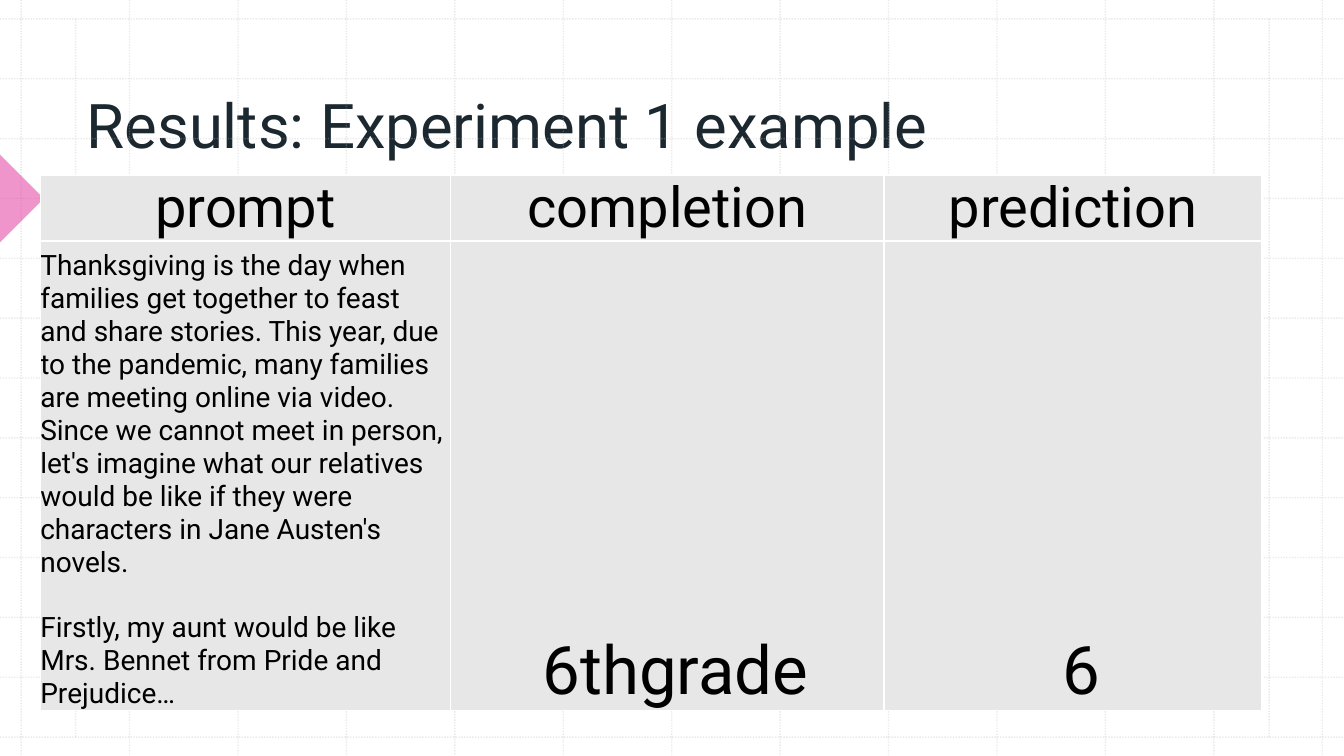
from lxml import etree
from pptx import Presentation
from pptx.dml.color import RGBColor
from pptx.enum.dml import MSO_LINE
from pptx.enum.shapes import MSO_CONNECTOR, MSO_SHAPE
from pptx.enum.text import MSO_ANCHOR, MSO_AUTO_SIZE, PP_ALIGN
from pptx.oxml import parse_xml
from pptx.oxml.ns import nsdecls, qn
from pptx.util import Pt

WIDTH, HEIGHT = 960, 540
FONT = "Roboto"
GRID_TOP, GRID_BOTTOM, ROW_STEP = 13.5, 526.5, 42.75
GRID_LEFT, COLUMN_STEP = 15.1, 77.45
MARGIN_LINES = (54, 906.5)
COLUMN_WIDTHS = (293, 309.6, 270)
ROW_HEIGHTS = (45.4, 335.5)
HEADINGS = ("prompt", "completion", "prediction")
PROMPT = (
    "Thanksgiving is the day when families get together to feast and share "
    "stories. This year, due to the pandemic, many families are meeting online "
    "via video. Since we cannot meet in person, let's imagine what our relatives "
    "would be like if they were characters in Jane Austen's novels.",
    "Firstly, my aunt would be like Mrs. Bennet from Pride and Prejudice…",
)


def paint(color_format, color, alpha=None):
    """Set a hex colour, with an optional opacity in percent."""
    color_format.rgb = RGBColor.from_string(color)
    if alpha is not None:
        for srgb in color_format._xFill.iter(qn("a:srgbClr")):
            etree.SubElement(srgb, qn("a:alpha")).set("val", str(alpha * 1000))


def add_grid_line(slide, x1, y1, x2, y2):
    grid_line = slide.shapes.add_connector(
        MSO_CONNECTOR.STRAIGHT, Pt(x1), Pt(y1), Pt(x2), Pt(y2))
    grid_line.line.width = Pt(1)
    grid_line.line.fill.solid()
    paint(grid_line.line.fill.fore_color, "BCBCBC", 30)
    grid_line.line.dash_style = MSO_LINE.ROUND_DOT
    etree.SubElement(grid_line._element.spPr, qn("a:effectLst"))


def add_grid(slide):
    for i in range(13):
        y = GRID_TOP + i * ROW_STEP
        add_grid_line(slide, 0, y, WIDTH, y)
        x = GRID_LEFT + i * COLUMN_STEP
        add_grid_line(slide, x, 0, x, HEIGHT)
    for x in MARGIN_LINES:
        add_grid_line(slide, x, GRID_TOP, x, GRID_BOTTOM)


def add_pointer(slide):
    pointer = slide.shapes.add_shape(
        MSO_SHAPE.RIGHT_TRIANGLE, Pt(-22.2), Pt(119.6), Pt(44.4), Pt(44.4))
    pointer.rotation = 225
    pointer.shadow.inherit = False
    pointer.line.fill.background()
    pointer.fill.solid()
    paint(pointer.fill.fore_color, "E32D9B", 50)


def style_paragraph(paragraph, size, color, align):
    paragraph.alignment = align
    paragraph.font.name = FONT
    paragraph.font.size = Pt(size)
    paint(paragraph.font.color, color)


def set_title(slide, text):
    title = slide.shapes.title
    title.left, title.top, title.width, title.height = (
        Pt(54.7), Pt(56.9), Pt(812.9), Pt(61.9))
    frame = title.text_frame
    frame.text = text
    frame.auto_size = MSO_AUTO_SIZE.NONE
    frame.vertical_anchor = MSO_ANCHOR.BOTTOM
    style_paragraph(frame.paragraphs[0], 44, "1B2830", PP_ALIGN.LEFT)


def add_borders(cell):
    """Draw white borders; they must precede the fill in the cell properties."""
    properties = cell._tc.get_or_add_tcPr()
    for i, side in enumerate(("lnL", "lnR", "lnT", "lnB")):
        properties.insert(i, parse_xml(
            f'<a:{side} {nsdecls("a")} w="12700"><a:solidFill>'
            f'<a:srgbClr val="FFFFFF"/></a:solidFill></a:{side}>'))


def fill_cell(cell, texts, size, align=PP_ALIGN.CENTER, anchor=MSO_ANCHOR.BOTTOM):
    cell.margin_left = cell.margin_right = cell.margin_top = cell.margin_bottom = 0
    cell.vertical_anchor = anchor
    cell.fill.solid()
    paint(cell.fill.fore_color, "E7E7E7")
    add_borders(cell)
    cell.text = "\n".join(texts)
    for i, paragraph in enumerate(cell.text_frame.paragraphs):
        style_paragraph(paragraph, size, "000000", align)
        if i:
            paragraph.space_before = Pt(23.5)


def add_results(slide):
    results = slide.shapes.add_table(
        2, 3, Pt(28.8), Pt(125.3), Pt(sum(COLUMN_WIDTHS)), Pt(sum(ROW_HEIGHTS))).table
    for column, width in zip(results.columns, COLUMN_WIDTHS):
        column.width = Pt(width)
    for row, height in zip(results.rows, ROW_HEIGHTS):
        row.height = Pt(height)
    for i, heading in enumerate(HEADINGS):
        fill_cell(results.cell(0, i), [heading], 40, anchor=MSO_ANCHOR.TOP)
    results.first_row = results.horz_banding = False
    fill_cell(results.cell(1, 0), PROMPT, 20, PP_ALIGN.LEFT)
    fill_cell(results.cell(1, 1), [" 6thgrade"], 48)
    fill_cell(results.cell(1, 2), [" 6"], 48)


def main():
    deck = Presentation()
    deck.slide_width, deck.slide_height = Pt(WIDTH), Pt(HEIGHT)
    slide = deck.slides.add_slide(deck.slide_layouts[5])

    # Background
    slide.background.fill.solid()
    paint(slide.background.fill.fore_color, "FFFFFF")
    add_grid(slide)
    add_pointer(slide)

    # Content
    set_title(slide, "Results: Experiment 1 example")
    add_results(slide)
    deck.save("out.pptx")


if __name__ == "__main__":
    main()
